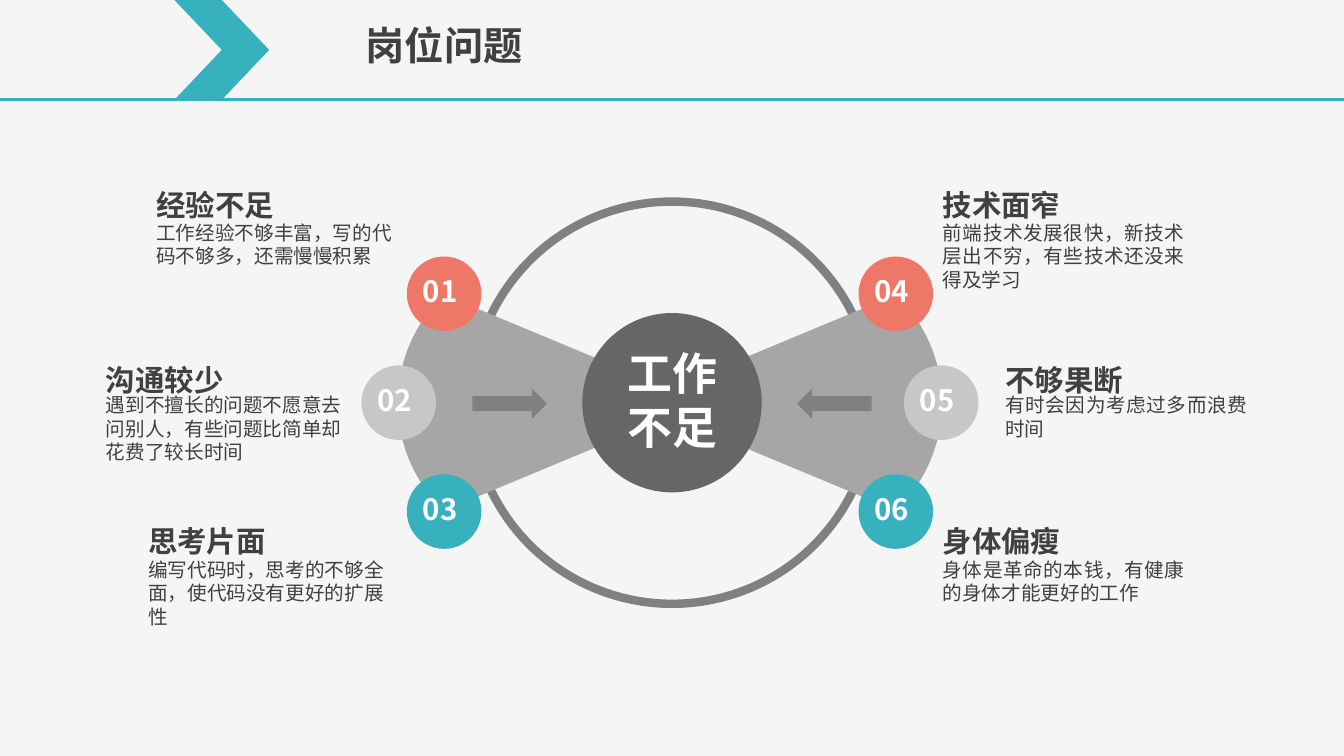
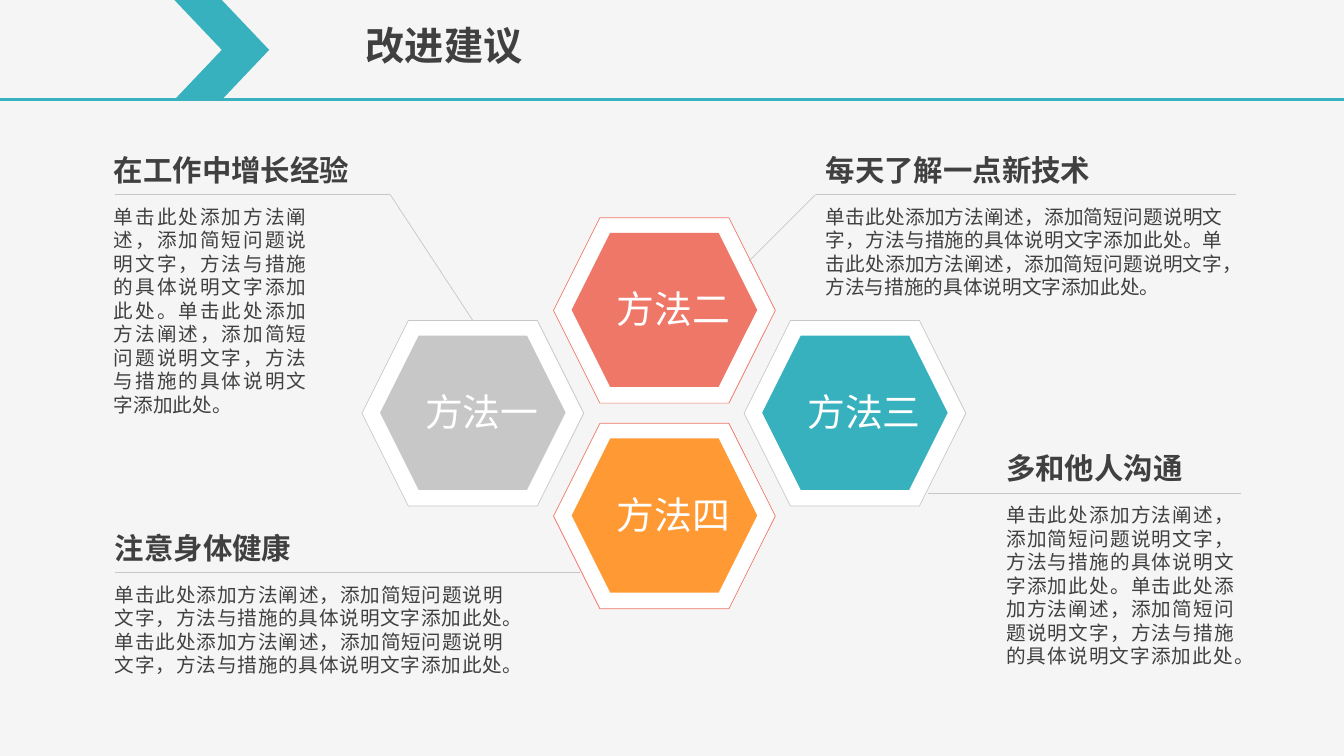
import math

from pptx import Presentation
from pptx.dml.color import RGBColor
from pptx.enum.shapes import MSO_CONNECTOR, MSO_SHAPE
from pptx.enum.text import MSO_AUTO_SIZE, PP_ALIGN
from pptx.oxml.ns import qn
from pptx.util import Inches, Pt
from lxml import etree

OVAL, HEXAGON, CHEVRON = MSO_SHAPE.OVAL, MSO_SHAPE.HEXAGON, MSO_SHAPE.CHEVRON
RIGHT_ARROW, LEFT_ARROW = MSO_SHAPE.RIGHT_ARROW, MSO_SHAPE.LEFT_ARROW
LEFT, CENTER, RIGHT, JUSTIFY = PP_ALIGN.LEFT, PP_ALIGN.CENTER, PP_ALIGN.RIGHT, PP_ALIGN.JUSTIFY
STRAIGHT, GROW = MSO_CONNECTOR.STRAIGHT, MSO_AUTO_SIZE.SHAPE_TO_FIT_TEXT

FONT = "Noto Sans CJK SC"
COLORS = {
    "background": "F5F5F5", "text": "404040", "white": "FFFFFF",
    "teal": "38B1BF", "coral": "EF7768", "orange": "FF9933",
    "silver": "C7C7C7", "wedge": "A6A6A6", "gray": "808080", "hub": "666666",
}
PADDED = (0.13, 0.07)

METHOD_TEXT = "单击此处添加方法阐述，添加简短问题说明文字，方法与措施的具体说明文字添加此处。" * 2

# x, heading, body
ISSUES_LEFT = [
    (1.55, "经验不足", "工作经验不够丰富，写的代码不够多，还需慢慢积累"),
    (1.05, "沟通较少", "遇到不擅长的问题不愿意去问别人，有些问题比简单却花费了较长时间"),
    (1.47, "思考片面", "编写代码时，思考的不够全面，使代码没有更好的扩展性"),
]
ISSUES_RIGHT = [
    (9.35, "技术面窄", "前端技术发展很快，新技术层出不穷，有些技术还没来得及学习"),
    (9.97, "不够果断", "有时会因为考虑过多而浪费时间"),
    (9.35, "身体偏瘦", "身体是革命的本钱，有健康的身体才能更好的工作"),
]
ISSUE_ROWS = [(1.86, 2.19), (3.59, 3.9), (5.19, 5.53)]  # heading y, body y

# x, y, label, fill, outline
HEXAGONS = [
    (5.49, 2.16, "方法二", "coral", "coral"),
    (3.59, 3.18, "方法一", "silver", "silver"),
    (5.49, 4.2, "方法四", "orange", "coral"),
    (7.38, 3.18, "方法三", "teal", "silver"),
]
# x, y, heading, body width, body height, leader points
METHODS = [
    (1, 1.44, "在工作中增长经验", 2.17, 2.26, [(1.14, 1.93), (3.87, 1.93), (4.69, 3.18)]),
    (8.06, 1.44, "每天了解一点新技术", 4.2, 1.08, [(12.26, 1.93), (8.09, 1.93), (7.43, 2.59)]),
    (1.01, 5.19, "注意身体健康", 4.11, 1.08, [(1.14, 5.68), (5.75, 5.68)]),
    (9.85, 4.4, "多和他人沟通", 2.52, 1.78, [(12.31, 4.89), (9.2, 4.89)]),
]


def rgb(name):
    return RGBColor.from_string(COLORS[name])


def style(shape, fill=None, line=None, width=0.5):
    shape.shadow.inherit = False
    if fill:
        shape.fill.solid()
        shape.fill.fore_color.rgb = rgb(fill)
    else:
        shape.fill.background()
    if line:
        shape.line.color.rgb = rgb(line)
        shape.line.width = Pt(width)
    else:
        shape.line.fill.background()


def add_shape(s, kind, x, y, w, h, fill=None, line=None, width=0.5):
    shape = s.shapes.add_shape(kind, Inches(x), Inches(y), Inches(w), Inches(h))
    style(shape, fill, line, width)


def add_line(s, start, end, color, width):
    line = s.shapes.add_connector(STRAIGHT, *map(Inches, start + end))
    line.line.color.rgb = rgb(color)
    line.line.width = Pt(width)
    etree.SubElement(line._element.spPr, qn("a:effectLst"))


def add_text(s, x, y, w, h, text, size, color="text", bold=False, align=LEFT,
             margins=(0.1, 0.05), wrap=True):
    tf = s.shapes.add_textbox(Inches(x), Inches(y), Inches(w), Inches(h)).text_frame
    tf.word_wrap = wrap
    tf.auto_size = GROW
    tf.margin_left = tf.margin_right = Inches(margins[0])
    tf.margin_top = tf.margin_bottom = Inches(margins[1])
    p = tf.paragraphs[0]
    p.text = text
    p.alignment = align
    p.font.size = Pt(size)
    p.font.bold = bold
    p.font.color.rgb = rgb(color)
    p.font.name = FONT
    # East Asian typeface follows the Latin one
    latin = p._p.pPr.find(qn("a:defRPr")).find(qn("a:latin"))
    ea = etree.Element(qn("a:ea"), typeface=FONT)
    latin.addnext(ea)


def new_slide(prs, title):
    s = prs.slides.add_slide(prs.slide_layouts[6])
    s.background.fill.solid()
    s.background.fill.fore_color.rgb = rgb("background")
    # Header band
    add_line(s, (0, 0.99), (13.33, 0.99), "teal", 2.25)
    add_shape(s, CHEVRON, 1.73, 0, 0.94, 0.99, "teal")
    add_text(s, 3.53, 0.16, 4.46, 0.57, title, 28, bold=True)
    return s


def add_wedge(s, cx, cy, side):
    """Fan with its tip just past the centre and a rounded outer edge."""
    half, base, edge = 1.07, 2.24, 2.7
    bulge = edge - base
    radius = (half ** 2 + bulge ** 2) / (2 * bulge)
    sweep = math.asin(half / radius)
    steps = 24
    angles = [sweep * (2 * i / steps - 1) for i in range(steps + 1)]
    points = [(Inches(cx + side * (edge - radius + radius * math.cos(a))),
               Inches(cy + radius * math.sin(a))) for a in angles]
    builder = s.shapes.build_freeform(Inches(cx - side * 0.33), Inches(cy))
    builder.add_line_segments(points, close=True)
    style(builder.convert_to_shape(), "wedge")


def add_badge(s, cx, cy, number, fill):
    x, y = cx - 0.37, cy - 0.37
    add_shape(s, OVAL, x, y, 0.74, 0.74, fill)
    add_text(s, x + 0.06, y + 0.12, 0.57, 0.45, f"{number:02d}", 21, "white", True, wrap=False)


def add_wheel(s, x, y, size):
    cx, cy = x + size / 2, y + size / 2
    add_shape(s, OVAL, x, y, size, size, line="gray", width=6)
    # Wedges with three badges on each side
    for side, first in ((-1, 1), (1, 4)):
        add_wedge(s, cx - 0.02, cy, side)
        for i, fill in enumerate(("coral", "silver", "teal")):
            reach = 2.69 if i == 1 else 2.24
            add_badge(s, cx - 0.02 + side * reach, cy + (i - 1) * 1.08, first + i, fill)
    # Hub
    add_shape(s, OVAL, cx - 0.89, cy - 0.89, 1.78, 1.78, "hub")
    add_text(s, cx - 0.69, cy - 0.61, 1.39, 1.18, "工作不足", 32, "white", True, CENTER)
    # Arrows towards the hub
    for side, kind in ((-1, RIGHT_ARROW), (1, LEFT_ARROW)):
        add_shape(s, kind, cx + side * 1.61 - 0.37, cy - 0.14, 0.74, 0.3, "gray")


def add_issues(s, issues, width, align):
    for (x, heading, body), (heading_y, body_y) in zip(issues, ISSUE_ROWS):
        add_text(s, x, heading_y, 2.36, 0.35, heading, 21, bold=True, margins=(0, 0))
        add_text(s, x, body_y, width, 0.71, body, 14, align=align, margins=(0, 0))


def add_hexagon(s, x, y, label, fill, outline):
    add_shape(s, HEXAGON, x, y, 2.2, 1.84, "white", outline)
    add_shape(s, HEXAGON, x + 0.18, y + 0.15, 1.84, 1.53, fill)
    add_text(s, x + 0.51, y + 0.63, 1.34, 0.56, label, 27, "white", align=RIGHT, wrap=False)


def add_method(s, x, y, heading, width, height, leader):
    add_text(s, x, y, 2.93, 0.49, heading, 21, bold=True, margins=PADDED)
    add_text(s, x, y + 0.52, width, height, METHOD_TEXT, 14, align=JUSTIFY, margins=PADDED)
    for start, end in zip(leader, leader[1:]):
        add_line(s, start, end, "silver", 0.5)


def problems_slide(prs):
    s = new_slide(prs, "岗位问题")
    add_wheel(s, 4.67, 2, 3.99)
    add_issues(s, ISSUES_LEFT, 2.36, LEFT)
    add_issues(s, ISSUES_RIGHT, 2.4, JUSTIFY)


def suggestions_slide(prs):
    s = new_slide(prs, "改进建议")
    for hexagon in HEXAGONS:
        add_hexagon(s, *hexagon)
    for method in METHODS:
        add_method(s, *method)


def main():
    prs = Presentation()
    prs.slide_width, prs.slide_height = Inches(13.33), Inches(7.5)
    problems_slide(prs)
    suggestions_slide(prs)
    prs.save("out.pptx")


if __name__ == "__main__":
    main()
